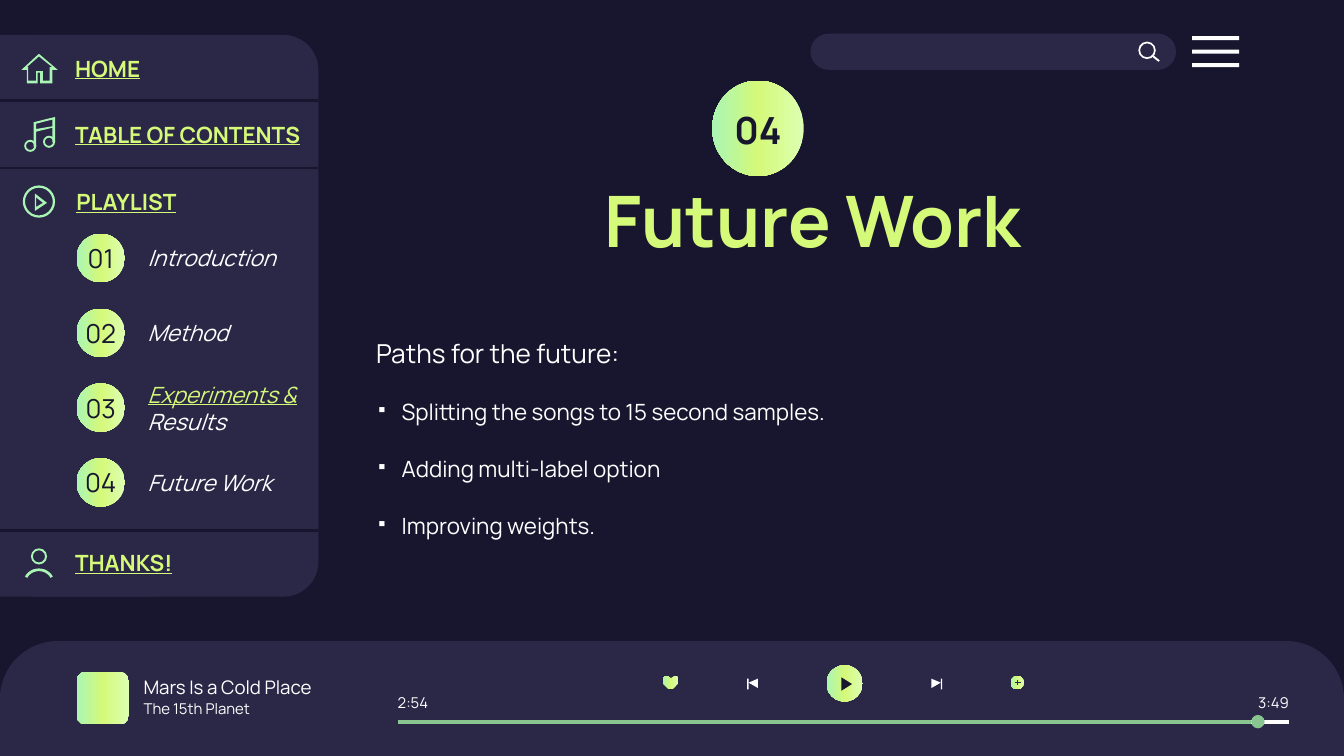
from copy import deepcopy
from math import cos, radians, sin

from lxml import etree
from pptx import Presentation
from pptx.dml.color import RGBColor
from pptx.enum.shapes import MSO_CONNECTOR, MSO_SHAPE
from pptx.enum.text import MSO_ANCHOR, PP_ALIGN
from pptx.oxml.ns import qn
from pptx.util import Inches, Pt

RECT, ROUNDED = MSO_SHAPE.RECTANGLE, MSO_SHAPE.ROUNDED_RECTANGLE
TOP_ROUNDED = MSO_SHAPE.ROUND_2_SAME_RECTANGLE
OVAL, RING = MSO_SHAPE.OVAL, MSO_SHAPE.DONUT
STRAIGHT = MSO_CONNECTOR.STRAIGHT
LEFT, CENTER, RIGHT = PP_ALIGN.LEFT, PP_ALIGN.CENTER, PP_ALIGN.RIGHT
TOP, MIDDLE = MSO_ANCHOR.TOP, MSO_ANCHOR.MIDDLE

NIGHT, PANEL, WHITE = ["17162E"], ["2A2747"], ["FFFFFF"]
LIME, MINT, GREEN = ["D5F979"], ["A9F5B4"], ["88C591"]
GLOW = ["DDFFB2", "D5F979", "A9F5B4"]


def paint(fill, hexes):
    if len(hexes) == 1:
        fill.solid()
        fill.fore_color.rgb = RGBColor.from_string(hexes[0])
        return
    fill.gradient()
    fill.gradient_angle = 180
    stops = fill._xPr.find(".//" + qn("a:gsLst"))
    stops.append(deepcopy(stops[0]))
    for stop, shade, position in zip(fill.gradient_stops, hexes, (0, 0.5, 1)):
        stop.color.rgb = RGBColor.from_string(shade)
        stop.position = position


def write(holder, text, size=12, color=WHITE, bold=False, italic=False, underline=False,
          align=LEFT, anchor=MIDDLE, side=0.1, top=0.1, new_paragraph=False):
    frame = holder.text_frame
    frame.word_wrap = True
    frame.vertical_anchor = anchor
    frame.margin_left = frame.margin_right = Inches(side)
    frame.margin_top, frame.margin_bottom = Inches(top), Inches(0.1)
    paragraph = frame.add_paragraph() if new_paragraph else frame.paragraphs[-1]
    paragraph.alignment = align
    run = paragraph.add_run()
    run.text = text
    font = run.font
    font.name, font.size = "Manrope", Pt(size)
    font.bold, font.italic, font.underline = bold, italic, underline
    paint(font.fill, color)
    return paragraph


prs = Presentation()
prs.slide_width = Inches(10)
prs.slide_height = prs.slide_width * 9 // 16
slide = prs.slides.add_slide(prs.slide_layouts[6])
paint(slide.background.fill, NIGHT)
shapes = slide.shapes

search_bar = [(ROUNDED, (6.03, 0.25, 2.72, 0.27), PANEL, [0.5]),
              (RING, (8.47, 0.31, 0.13, 0.13), WHITE, [0.1])]
menu_bars = [(RECT, (8.87, 0.27 + 0.1 * row, 0.35, 0.03), WHITE, []) for row in range(3)]
player = [(TOP_ROUNDED, (0, 4.77, 10, 0.86), PANEL, [0.5, 0]),
          (ROUNDED, (0.57, 5, 0.39, 0.39), GLOW, [0.17]),
          (OVAL, (7.52, 5.03, 0.1, 0.1), GLOW, []),
          (OVAL, (6.15, 4.95, 0.27, 0.27), GLOW, []),
          (RECT, (7, 5.05, 0.01, 0.08), WHITE, []),
          (RECT, (5.56, 5.05, 0.01, 0.08), WHITE, [])]
section_badge = [(OVAL, (5.3, 0.6, 0.68, 0.71), GLOW, [])]
sidebar = [(RECT, (0, 0.26, 1.18, 4.18), PANEL, []),
           (ROUNDED, (0, 0.26, 2.37, 4.18), PANEL, [0.11]),
           (RING, (0.17, 1.38, 0.24, 0.24), MINT, [0.07]),
           (RING, (0.18, 1.04, 0.09, 0.09), MINT, [0.16]),
           (RING, (0.32, 1.01, 0.09, 0.09), MINT, [0.16]),
           (RING, (0.23, 4.08, 0.12, 0.12), MINT, [0.12])]
for kind, box, color, adjustments in search_bar + menu_bars + player + section_badge + sidebar:
    part = shapes.add_shape(kind, *map(Inches, box))
    part.shadow.inherit = False
    part.line.fill.background()
    paint(part.fill, color)
    for index, value in enumerate(adjustments):
        part.adjustments[index] = value

shoulders = [(0.29 + radius * cos(radians(angle)), 4.35 - radius * sin(radians(angle)))
             for radius, sweep in ((0.12, range(30, 151, 10)), (0.1, range(150, 29, -10)))
             for angle in sweep]
lens_handle = [(8.58, 0.41), (8.57, 0.42), (8.62, 0.46), (8.63, 0.45)]
heart = [(4.99, 5.05), (4.98, 5.04), (4.96, 5.03), (4.94, 5.04), (4.93, 5.07), (4.94, 5.09),
         (4.97, 5.12), (4.99, 5.13), (5.01, 5.12), (5.04, 5.09), (5.05, 5.07), (5.05, 5.04),
         (5.02, 5.03), (5.01, 5.04)]
play = [(6.26, 5.04), (6.26, 5.14), (6.34, 5.09)]
skip_next = [(6.93, 5.05), (6.93, 5.12), (7, 5.08)]
skip_back = [(5.64, 5.05), (5.57, 5.08), (5.64, 5.12)]
playlist_outer = [(0.26, 1.44), (0.26, 1.57), (0.35, 1.51)]
playlist_inner = [(0.27, 1.47), (0.32, 1.51), (0.27, 1.54)]
house_outer = [(0.29, 0.4), (0.16, 0.52), (0.2, 0.52), (0.2, 0.62), (0.28, 0.62), (0.28, 0.54),
               (0.3, 0.54), (0.3, 0.62), (0.39, 0.62), (0.39, 0.52), (0.43, 0.52)]
house_inner = [(0.29, 0.42), (0.39, 0.5), (0.37, 0.5), (0.37, 0.6), (0.32, 0.6), (0.32, 0.53),
               (0.27, 0.53), (0.27, 0.6), (0.21, 0.6), (0.21, 0.5), (0.2, 0.5)]
note_outer = [(0.25, 0.91), (0.41, 0.87), (0.41, 1.06), (0.39, 1.06), (0.39, 0.95), (0.27, 0.98),
              (0.27, 1.09), (0.25, 1.09)]
note_inner = [(0.39, 0.89), (0.39, 0.94), (0.27, 0.96), (0.27, 0.92)]
icons = [(WHITE, [lens_handle]), (GLOW, [heart]), (NIGHT, [play]), (WHITE, [skip_next]),
         (WHITE, [skip_back]), (MINT, [playlist_outer, playlist_inner]),
         (MINT, [house_outer, house_inner]), (MINT, [note_outer, note_inner]),
         (MINT, [shoulders])]
for color, contours in icons:
    contours = [[(x * 1000, y * 1000) for x, y in contour] for contour in contours]
    builder = shapes.build_freeform(*contours[0][0], scale=Inches(1) / 1000)
    builder.add_line_segments(contours[0][1:], close=True)
    for hole in contours[1:]:
        builder.move_to(*hole[0])
        builder.add_line_segments(hole[1:], close=True)
    icon = builder.convert_to_shape()
    icon.shadow.inherit = False
    icon.line.fill.background()
    paint(icon.fill, color)

dividers = [((2.37, y, 0, y), NIGHT, 1.5) for y in (0.75, 1.25, 3.95)]
plus_sign = [((7.57, 5.06, 7.57, 5.1), PANEL, 0.75), ((7.6, 5.08, 7.55, 5.08), PANEL, 0.75)]
progress = [((2.96, 5.37, 9.59, 5.37), WHITE, 2.25), ((2.96, 5.37, 9.31, 5.37), GREEN, 2.25)]
for ends, color, width in dividers + plus_sign + progress:
    stroke = shapes.add_connector(STRAIGHT, *map(Inches, ends))
    paint(stroke.line.fill, color)
    stroke.line.width = Pt(width)
    etree.SubElement(stroke._element.spPr, qn("a:effectLst"))

knob = shapes.add_shape(OVAL, *map(Inches, (9.31, 5.32, 0.1, 0.1)))
knob.shadow.inherit = False
knob.line.fill.background()
paint(knob.fill, GREEN)

menu_style = {"color": LIME, "bold": True, "underline": True}
labels = [
    ("Mars Is a Cold Place", (0.97, 5.03, 1.91, 0.17), {"size": 10}),
    ("The 15th Planet", (0.97, 5.19, 1.15, 0.17), {"size": 8}),
    ("2:54", (2.96, 5.14, 0.27, 0.17), {"size": 8, "side": 0}),
    ("3:49", (9.32, 5.14, 0.27, 0.17), {"size": 8, "side": 0, "align": RIGHT}),
    ("Future Work", (2.35, 1.17, 7.39, 0.92),
     {"size": 38, "color": LIME, "bold": True, "align": CENTER}),
    ("04", (4.92, 0.55, 1.44, 0.83),
     {"size": 20, "color": NIGHT, "bold": True, "align": CENTER}),
    ("HOME", (0.46, 0.33, 2.08, 0.36), menu_style),
    ("TABLE OF CONTENTS", (0.46, 0.82, 2.08, 0.36), menu_style),
    ("PLAYLIST", (0.47, 1.32, 1.3, 0.36), menu_style),
    ("THANKS!", (0.46, 4.01, 2.08, 0.36), menu_style),
]
for text, box, style in labels:
    write(shapes.add_textbox(*map(Inches, box)), text, **style)

chapters = [[("Introduction", {})], [("Method", {})],
            [("Experiments & ", {"color": LIME, "underline": True}), ("Results", {})],
            [("Future Work", {})]]
for row, chapter in enumerate(chapters):
    offset = 1.67 * row / 3
    badge = shapes.add_shape(OVAL, *map(Inches, (0.57, 1.74 + offset, 0.36, 0.36)))
    badge.shadow.inherit = False
    badge.line.fill.background()
    paint(badge.fill, GLOW)
    write(badge, f"{row + 1:02}", size=14, color=NIGHT, align=CENTER, side=0)
    chapter_box = shapes.add_textbox(*map(Inches, (1, 1.66 + offset, 1.37, 0.52)))
    for text, style in chapter:
        write(chapter_box, text, italic=True, **style)

plans = shapes.add_textbox(*map(Inches, (2.7, 2.3, 5.74, 2.35)))
write(plans, "Paths for the future:", size=14, anchor=TOP, top=0.21).space_after = Pt(16)
for plan in ("Splitting the songs to 15 second samples.", "Adding multi-label option",
             "Improving weights."):
    paragraph = write(plans, plan, anchor=TOP, top=0.21, new_paragraph=True)
    paragraph.space_after = Pt(16)
    properties = paragraph._p.get_or_add_pPr()
    properties.set("marL", str(Inches(0.19)))
    properties.set("indent", str(-Inches(0.19)))
    bullet_color = etree.SubElement(properties, qn("a:buClr"))
    etree.SubElement(bullet_color, qn("a:srgbClr"), val=WHITE[0])
    etree.SubElement(properties, qn("a:buSzPct"), val="70000")
    etree.SubElement(properties, qn("a:buChar"), char="▪")

prs.save("out.pptx")
